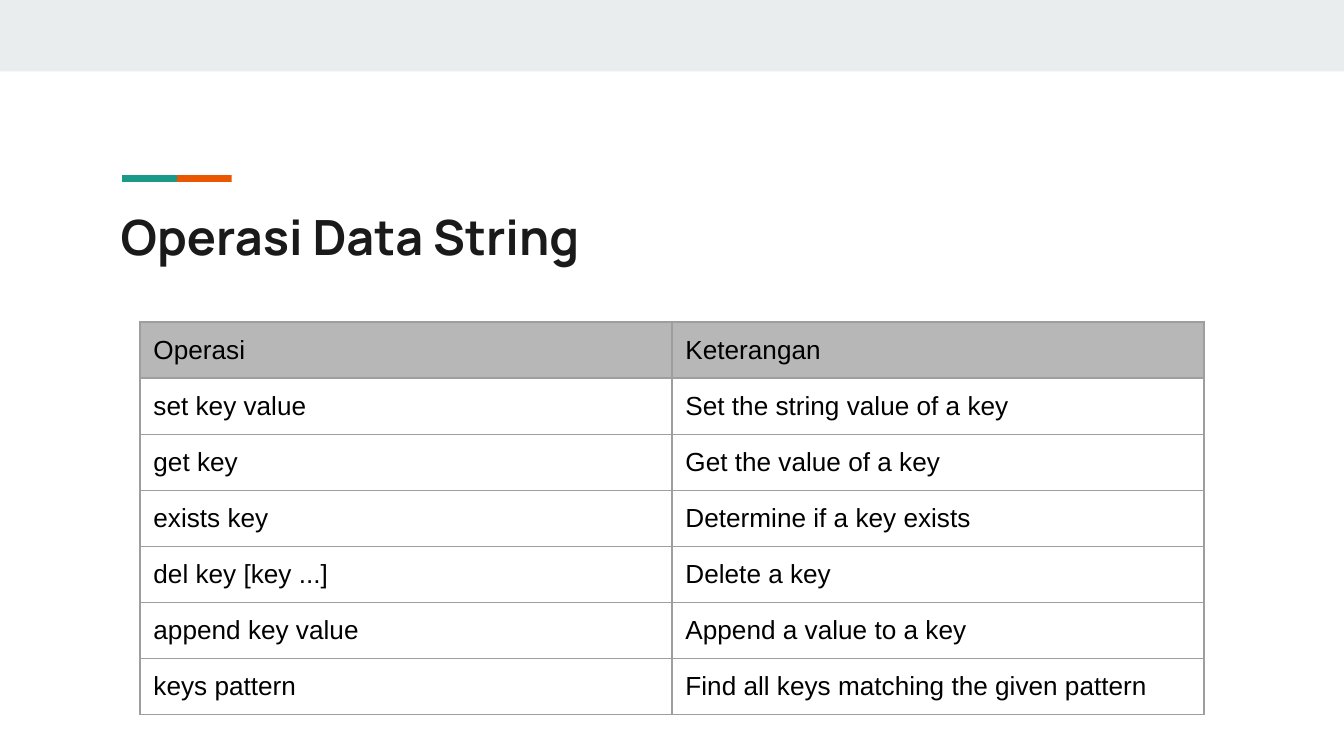
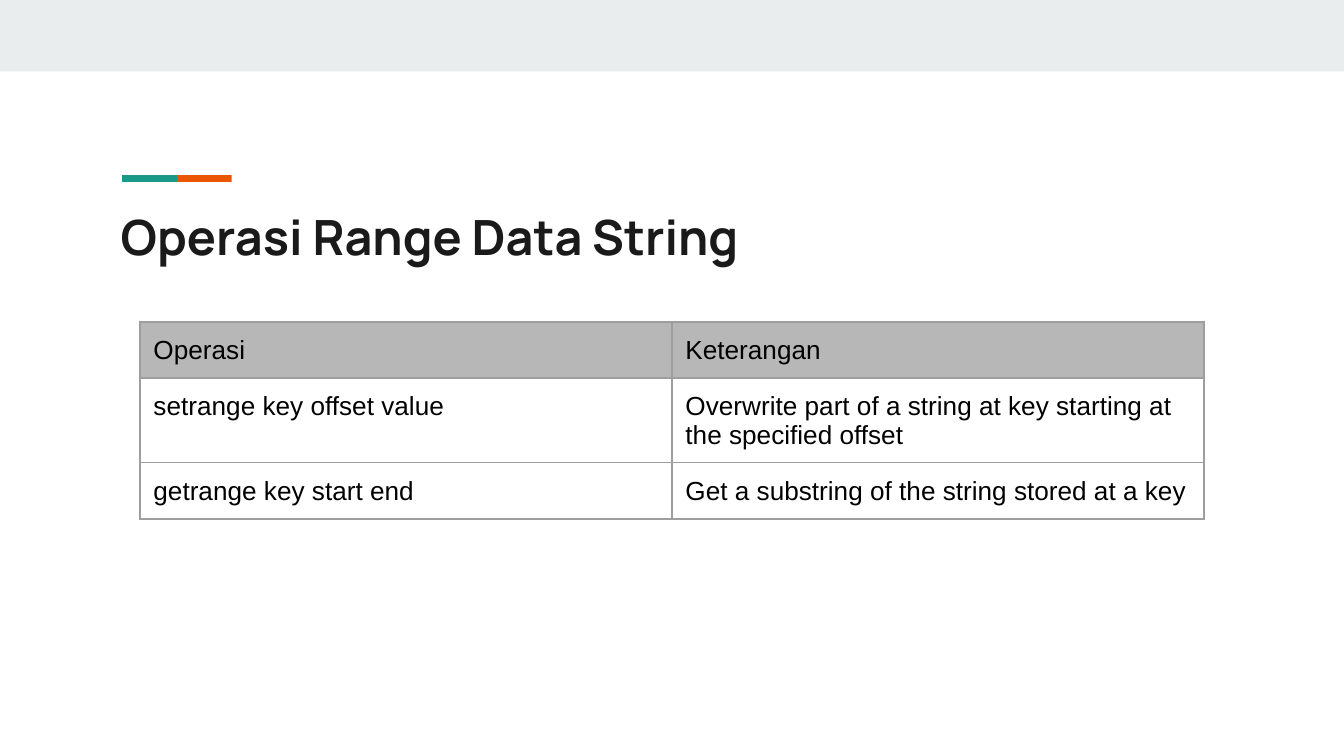
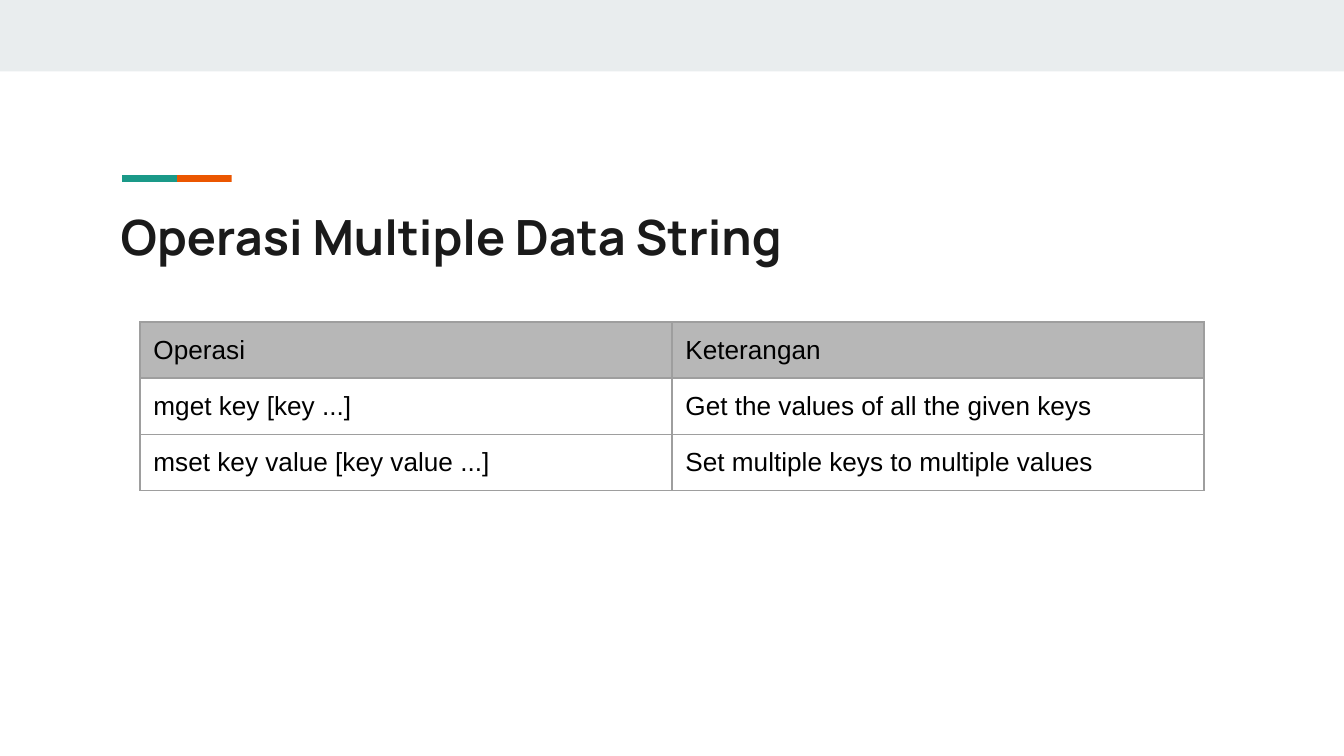
from dataclasses import dataclass

from lxml.etree import SubElement
from pptx import Presentation
from pptx.dml.color import RGBColor
from pptx.enum.shapes import MSO_SHAPE
from pptx.enum.text import MSO_ANCHOR
from pptx.oxml.ns import qn
from pptx.util import Pt


@dataclass(frozen=True)
class Theme:
    # Colours
    band: str = "E9EDEE"
    teal: str = "1A9988"
    orange: str = "EB5600"
    title: str = "1A1A1A"
    text: str = "000000"
    header: str = "B7B7B7"
    border: str = "9E9E9E"
    # Type
    title_font: str = "Manrope"
    table_font: str = "Arial"
    title_size: float = 26
    table_size: float = 14
    # Spacing
    inset: float = 7.2
    cell_bottom: float = 4.6
    row_height: float = 30.05
    border_width: float = 0.75


def write_text(frame, text, *, font, size, color, bold=False):
    """Fill a text frame with one formatted paragraph."""
    frame.word_wrap = True
    span = frame.paragraphs[0].add_run()
    span.text = text
    span.font.name = font
    span.font.size = Pt(size)
    span.font.bold = bold
    span.font.color.rgb = RGBColor.from_string(color)


class DeckBuilder:
    def __init__(self, theme):
        self.theme = theme
        self.deck = Presentation()
        self.deck.slide_width = Pt(720)
        self.deck.slide_height = Pt(405)
        self.page = None

    def add_page(self, title):
        """Start a slide with the shared band, accent line and title."""
        self.page = self.deck.slides.add_slide(self.deck.slide_layouts[6])
        self.add_bar(self.page.shapes, 0, 0, 720, 38.3, self.theme.band)
        self.add_accent()
        self.add_title(title)

    def add_bar(self, shapes, left, top, width, height, color):
        bar = shapes.add_shape(
            MSO_SHAPE.RECTANGLE, Pt(left), Pt(top), Pt(width), Pt(height))
        bar.shadow.inherit = False
        bar.fill.solid()
        bar.fill.fore_color.rgb = RGBColor.from_string(color)
        bar.line.fill.background()
        return bar

    def add_accent(self):
        """Group two upright bars, turned flat, into a scaled two-colour line."""
        thickness, length = 1.98, 41.72
        group = self.page.shapes.add_group_shape()
        for index, color in ((1, self.theme.orange), (0, self.theme.teal)):
            left = (index + 0.5) * length - thickness / 2
            top = (thickness - length) / 2
            bar = self.add_bar(group.shapes, left, top, thickness, length, color)
            bar.rotation = 270
        group.left, group.top = Pt(65.39), Pt(93.8)
        group.width, group.height = Pt(58.72), Pt(3.61)
        # Inner coordinates cover the bars as they lie after turning
        frame = group._element.grpSpPr.find(qn("a:xfrm"))
        origin, extent = frame.find(qn("a:chOff")), frame.find(qn("a:chExt"))
        origin.set("x", "0")
        origin.set("y", "0")
        extent.set("cx", str(Pt(2 * length)))
        extent.set("cy", str(Pt(thickness)))

    def add_title(self, text):
        theme = self.theme
        box = self.page.shapes.add_textbox(Pt(57.6), Pt(103.5), Pt(605.5), Pt(42.5))
        frame = box.text_frame
        frame.margin_left = frame.margin_right = Pt(theme.inset)
        frame.margin_top = frame.margin_bottom = Pt(theme.inset)
        frame.vertical_anchor = MSO_ANCHOR.TOP
        write_text(frame, text, font=theme.title_font, size=theme.title_size,
                   color=theme.title, bold=True)

    def add_operations(self, operations):
        """Draw the two-column table of operations under its header row."""
        rows = [("Operasi", "Keterangan"), *operations]
        height = self.theme.row_height * len(rows)
        table = self.page.shapes.add_table(
            len(rows), 2, Pt(75), Pt(172.5), Pt(570), Pt(height)).table
        table.first_row = False
        table.horz_banding = False
        for row_index, row in enumerate(rows):
            for column_index, text in enumerate(row):
                self.format_cell(table.cell(row_index, column_index), text,
                                 is_header=row_index == 0)

    def format_cell(self, cell, text, is_header):
        theme = self.theme
        cell.margin_left = cell.margin_right = cell.margin_top = Pt(theme.inset)
        cell.margin_bottom = Pt(theme.cell_bottom)
        self.add_borders(cell)
        if is_header:
            cell.fill.solid()
            cell.fill.fore_color.rgb = RGBColor.from_string(theme.header)
        else:
            cell.fill.background()
        write_text(cell.text_frame, text, font=theme.table_font,
                   size=theme.table_size, color=theme.text)

    def add_borders(self, cell):
        properties = cell._tc.get_or_add_tcPr()
        for side in ("a:lnL", "a:lnR", "a:lnT", "a:lnB"):
            line = SubElement(properties, qn(side), w=str(Pt(self.theme.border_width)))
            fill = SubElement(line, qn("a:solidFill"))
            SubElement(fill, qn("a:srgbClr"), val=self.theme.border)


# Slide titles and their operations
PAGES = {
    "Operasi Data String": [
        ("set key value", "Set the string value of a key"),
        ("get key", "Get the value of a key"),
        ("exists key", "Determine if a key exists"),
        ("del key [key ...]", "Delete a key"),
        ("append key value", "Append a value to a key"),
        ("keys pattern", "Find all keys matching the given pattern"),
    ],
    "Operasi Range Data String": [
        ("setrange key offset value",
         "Overwrite part of a string at key starting at the specified offset"),
        ("getrange key start end", "Get a substring of the string stored at a key"),
    ],
    "Operasi Multiple Data String": [
        ("mget key [key ...]", "Get the values of all the given keys"),
        ("mset key value [key value ...]", "Set multiple keys to multiple values"),
    ],
}


def main():
    builder = DeckBuilder(Theme())
    for title, operations in PAGES.items():
        builder.add_page(title)
        builder.add_operations(operations)
    builder.deck.save("out.pptx")


if __name__ == "__main__":
    main()
